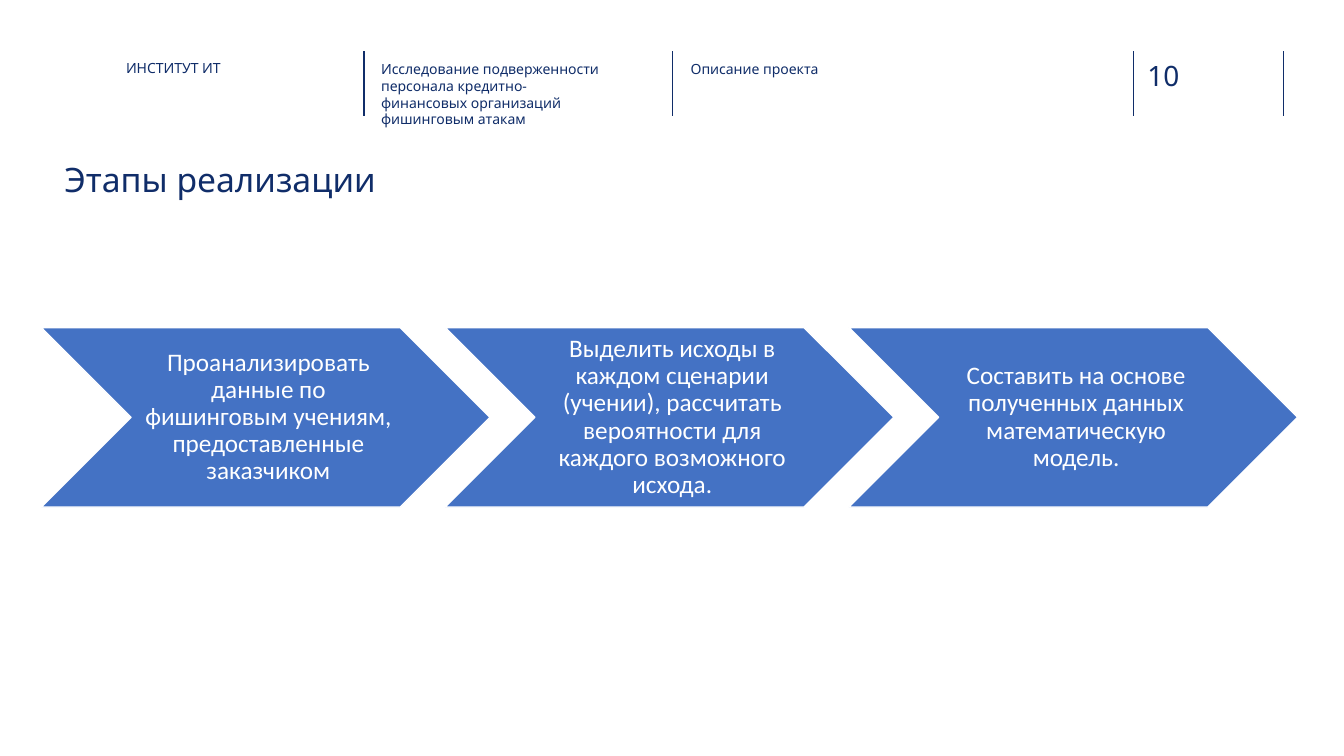
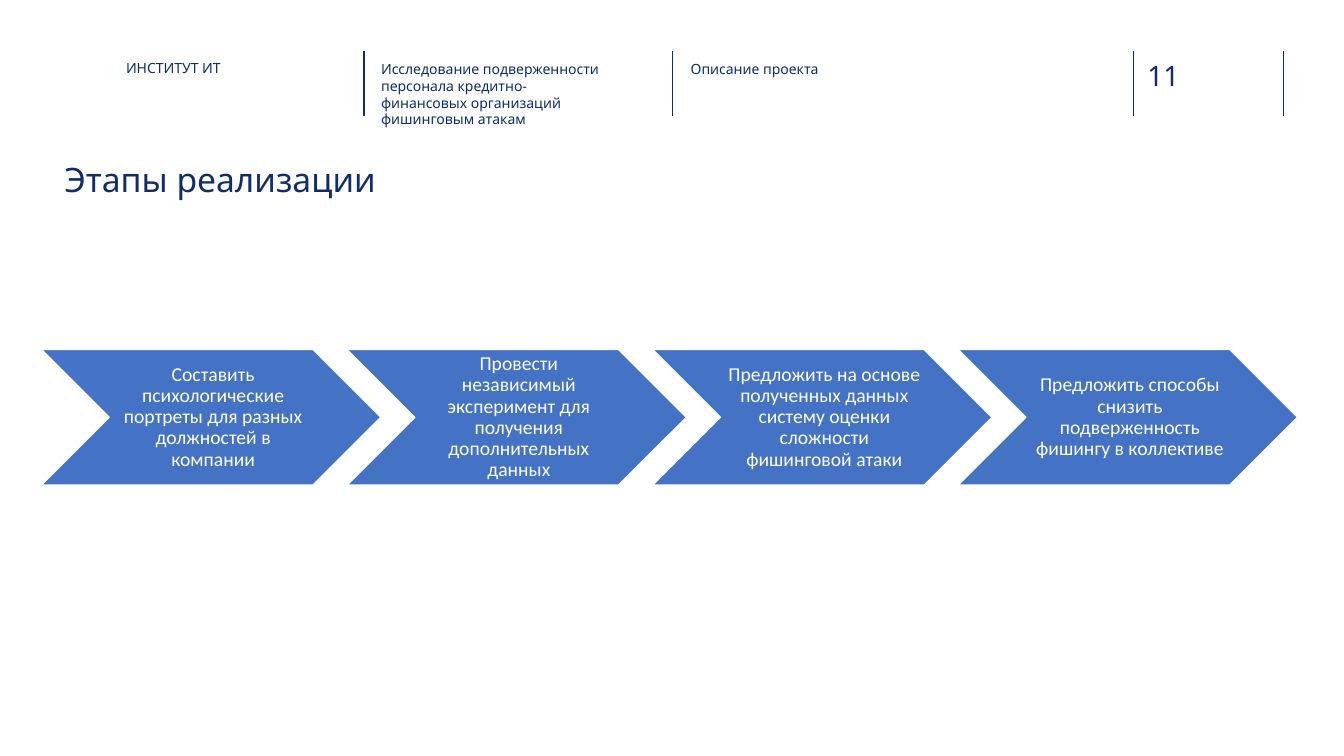
from lxml import etree
from pptx import Presentation
from pptx import util as u
from pptx.dml.color import RGBColor
from pptx.enum import shapes, text
from pptx.oxml.ns import qn

NAVY = RGBColor(0x10, 0x2D, 0x69)
BLUE = RGBColor(0x44, 0x72, 0xC4)
WHITE = RGBColor(0xFF, 0xFF, 0xFF)
HEAD_FONT, STEP_FONT = "Noto Sans", "Calibri"

TITLE = "Этапы реализации"
RULES_X = (3.61, 6.67, 11.24, 12.73)
HEADERS = (
    ((1.25, 0.59, 2.08, 0.45), "ИНСТИТУТ ИТ"),
    ((3.78, 0.6, 2.26, 0.45), "Исследование подверженности персонала "
     "кредитно-финансовых организаций фишинговым атакам"),
    ((6.85, 0.6, 2.26, 0.45), "Описание проекта"),
)
SLIDES = (
    (10, 18, ("Проанализировать данные по фишинговым учениям, "
              "предоставленные заказчиком",
              "Выделить исходы в каждом сценарии (учении), рассчитать "
              "вероятности для каждого возможного исхода.",
              "Составить на основе полученных данных математическую модель.")),
    (11, 14, ("Составить психологические портреты для разных должностей "
              "в компании",
              "Провести независимый эксперимент для получения "
              "дополнительных данных",
              "Предложить на основе полученных данных систему оценки "
              "сложности фишинговой атаки",
              "Предложить способы снизить подверженность фишингу "
              "в коллективе")),
)

ROW_LEFT, ROW_WIDTH, ROW_MIDDLE = 0.41, 12.46, 4.14
STEP_PITCH, STEP_HEIGHT = 0.9, 0.4  # shares of the chevron width


def apply(obj, values):
    """Set each attribute of obj from a dict."""
    for name, value in values.items():
        setattr(obj, name, value)


def box(left, top, width, height):
    """Return a position and size in inches as lengths."""
    return [u.Inches(v) for v in (left, top, width, height)]


def write(sp, words, font, para=None, frame=None):
    """Fill a shape with one formatted paragraph, without insets by default."""
    tf = sp.text_frame
    base = dict.fromkeys(("margin_left", "margin_top", "margin_right",
                          "margin_bottom"), 0)
    base.update(word_wrap=True, auto_size=text.MSO_AUTO_SIZE.NONE,
                vertical_anchor=text.MSO_ANCHOR.TOP)
    apply(tf, {**base, **(frame or {})})
    p = tf.paragraphs[0]
    apply(p, {"alignment": text.PP_ALIGN.LEFT, **(para or {})})
    r = p.add_run()
    r.text = words
    color = font.pop("color", NAVY)
    apply(r.font, {"name": HEAD_FONT, **font})
    r.font.color.rgb = color


def add_label(s, at, words, size, **para):
    """Add a header text box."""
    write(s.shapes.add_textbox(*box(*at)), words, {"size": u.Pt(size)}, para)


def add_rule(s, x):
    """Add a vertical header rule."""
    line = s.shapes.add_connector(
        shapes.MSO_CONNECTOR.STRAIGHT, u.Inches(x), u.Inches(0.51),
        u.Inches(x), u.Inches(1.15))
    line.line.color.rgb = NAVY
    line.line.width = u.Pt(1)
    etree.SubElement(line._element.spPr, qn("a:effectLst"))


def add_header(s, number):
    """Add the rules, labels, slide number and title of every slide."""
    for x in RULES_X:
        add_rule(s, x)
    for at, words in HEADERS:
        add_label(s, at, words, 10, line_spacing=u.Pt(12))
    add_label(s, (11.38, 0.58, 0.73, 0.34), str(number), 20)
    title = s.shapes.title
    names = ("left", "top", "width", "height")
    apply(title, dict(zip(names, box(0.64, 1.58, 5.74, 0.85))))
    write(title, TITLE, {"size": u.Pt(24)})


def add_step(s, at, words, size):
    """Add one chevron with its text."""
    sp = s.shapes.add_shape(shapes.MSO_SHAPE.CHEVRON, *box(*at))
    sp.shadow.inherit = False
    sp.fill.solid()
    sp.fill.fore_color.rgb = BLUE
    sp.line.color.rgb = WHITE
    sp.line.width = u.Pt(1)
    inset = u.Pt(size / 9)
    write(sp, words,
          {"name": STEP_FONT, "size": u.Pt(size), "color": WHITE},
          {"alignment": text.PP_ALIGN.CENTER, "line_spacing": 0.9},
          {"vertical_anchor": text.MSO_ANCHOR.MIDDLE,
           "margin_left": u.Pt(size / 3), "margin_top": inset,
           "margin_right": inset, "margin_bottom": inset})


def add_steps(s, steps, size):
    """Spread the chevrons evenly over the row."""
    width = ROW_WIDTH / (1 + STEP_PITCH * (len(steps) - 1))
    height = STEP_HEIGHT * width
    for i, words in enumerate(steps):
        left = ROW_LEFT + i * STEP_PITCH * width
        add_step(s, (left, ROW_MIDDLE - height / 2, width, height),
                 words, size)


def main():
    """Build and save the presentation."""
    prs = Presentation()
    prs.slide_width, prs.slide_height = u.Inches(13.33), u.Inches(7.5)
    for number, size, steps in SLIDES:
        s = prs.slides.add_slide(prs.slide_layouts[5])
        add_header(s, number)
        add_steps(s, steps, size)
    prs.save("out.pptx")


main()
